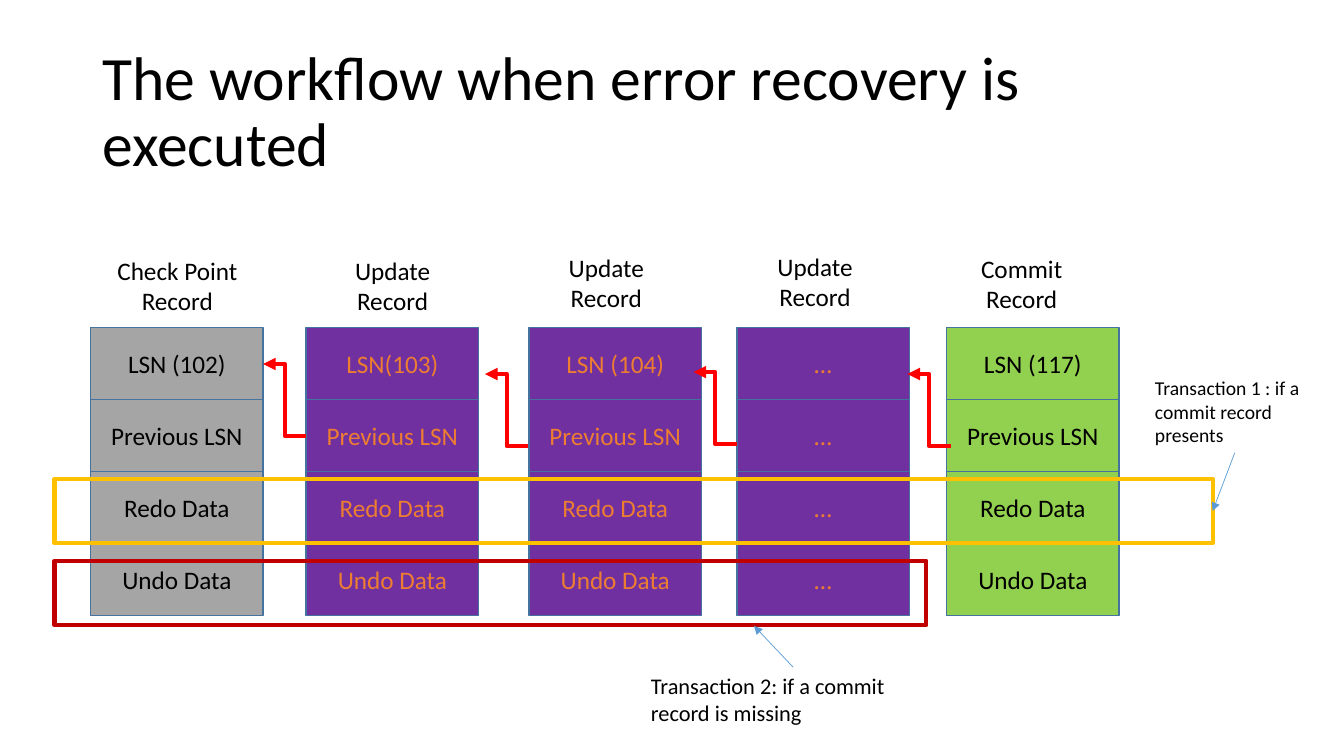
"""Build the slide about the log records used in error recovery."""
from dataclasses import dataclass

from lxml.etree import SubElement
from pptx import Presentation
from pptx.dml.color import RGBColor as Color
from pptx.enum.shapes import MSO_CONNECTOR as Connector, MSO_SHAPE as Preset
from pptx.enum.text import MSO_ANCHOR as Anchor, PP_ALIGN as Align
from pptx.oxml.ns import qn
from pptx.slide import Slide
from pptx.text.text import TextFrame
from pptx.util import Pt


@dataclass(frozen=True)
class Theme:
    """Font, type sizes, colours and line widths of the slide."""
    font: str = "Calibri"
    title_size: float = 44
    body_size: float = 18
    undo_note_size: float = 16
    redo_note_size: float = 14
    black: str = "000000"
    orange: str = "ED7D31"
    gray: str = "A5A5A5"
    purple: str = "7030A0"
    green: str = "92D050"
    outline: str = "43739E"
    red: str = "FF0000"
    dark_red: str = "C00000"
    gold: str = "FFC000"
    blue: str = "5B9BD5"
    thin: float = 0.5
    medium: float = 1
    thick: float = 3


@dataclass(frozen=True)
class Box:
    """A rectangle in points."""
    left: float
    top: float
    width: float
    height: float


@dataclass(frozen=True)
class Record:
    """A log record: heading, its box, and a column of cells."""
    heading: str
    heading_box: Box
    left: float
    fill: str
    ink: str
    cells: tuple[str, ...]


@dataclass(frozen=True)
class Note:
    """A text with its box and type size."""
    text: str
    box: Box
    size: float


@dataclass(frozen=True)
class Frame:
    """An outlined area around log data."""
    box: Box
    color: str


@dataclass(frozen=True)
class Arrow:
    """A connector from a start point to its arrowhead."""
    start: tuple[float, float]
    tip: tuple[float, float]
    kind: Connector
    color: str
    width: float


THEME = Theme()
CELL_WIDTH, CELL_HEIGHT, CELL_TOP = 123.1, 51.4, 234
ELBOW_WIDTH = 30.9
FIELDS = ("Previous LSN", "Redo Data", "Undo Data")

TITLE = Note("The workflow when error recovery is executed",
             Box(66, 28.8, 828, 104.4), THEME.title_size)
RECORDS = (
    Record("Check Point Record", Box(72.7, 178.6, 108, 50.9), 64.8,
           THEME.gray, THEME.black, ("LSN (102)", *FIELDS)),
    Record("Update Record", Box(229.7, 178.6, 101.5, 50.9), 218.7,
           THEME.purple, THEME.orange, ("LSN(103)", *FIELDS)),
    Record("Update Record", Box(382.3, 176.4, 101.5, 50.9), 377.9,
           THEME.purple, THEME.orange, ("LSN (104)", *FIELDS)),
    Record("Update Record", Box(531.4, 176.1, 101.5, 50.9), 526.4,
           THEME.purple, THEME.orange, ("…",) * 4),
    Record("Commit Record", Box(679, 177.1, 101.5, 50.9), 676.2,
           THEME.green, THEME.black, ("LSN (117)", *FIELDS)),
)
ELBOW_TIPS = ((188, 260), (346.5, 267.2), (495.5, 265.8), (648.2, 267.2))
FRAMES = (
    Frame(Box(38.9, 400.5, 622.8, 46.1), THEME.dark_red),
    Frame(Box(38.9, 342, 827.3, 46.1), THEME.gold),
)
NOTES = (
    Note("Transaction 1 : if a commit record presents",
         Box(817.9, 265, 128.9, 58.3), THEME.redo_note_size),
    Note("Transaction 2: if a commit record is missing",
         Box(457.9, 476.6, 218.9, 46.1), THEME.undo_note_size),
)
ARROWS = (
    *(Arrow((x + ELBOW_WIDTH, y + CELL_HEIGHT), (x, y), Connector.ELBOW,
            THEME.red, THEME.thick) for x, y in ELBOW_TIPS),
    Arrow((882, 323.3), (866.2, 365), Connector.STRAIGHT,
          THEME.blue, THEME.thin),
    Arrow((566.6, 476.6), (538.6, 447.1), Connector.STRAIGHT,
          THEME.blue, THEME.thin),
)


def lengths(box: Box) -> tuple[Pt, Pt, Pt, Pt]:
    """Return the four lengths of a box."""
    return Pt(box.left), Pt(box.top), Pt(box.width), Pt(box.height)


def write(frame: TextFrame, text: str, size: float, color: str,
          align: Align = Align.LEFT, anchor: Anchor = Anchor.TOP,
          spacing: float = 1.0) -> None:
    """Write one paragraph into a text frame."""
    frame.word_wrap = True
    frame.vertical_anchor = anchor
    paragraph = frame.paragraphs[0]
    paragraph.alignment = align
    paragraph.line_spacing = spacing
    run = paragraph.add_run()
    run.text = text
    run.font.name = THEME.font
    run.font.size = Pt(size)
    run.font.color.rgb = Color.from_string(color)


def add_rectangle(slide: Slide, box: Box, outline: str, width: float,
                  fill: str | None = None) -> TextFrame:
    """Draw a rectangle, hollow unless filled, and return its text frame."""
    shape = slide.shapes.add_shape(Preset.RECTANGLE, *lengths(box))
    shape.shadow.inherit = False
    if fill is None:
        shape.fill.background()
    else:
        shape.fill.solid()
        shape.fill.fore_color.rgb = Color.from_string(fill)
    shape.line.color.rgb = Color.from_string(outline)
    shape.line.width = Pt(width)
    return shape.text_frame


def add_record(slide: Slide, record: Record) -> None:
    """Draw a record's heading and its cells."""
    heading = slide.shapes.add_textbox(*lengths(record.heading_box))
    write(heading.text_frame, record.heading, THEME.body_size, THEME.black,
          Align.CENTER)
    for row, text in enumerate(record.cells):
        box = Box(record.left, CELL_TOP + row * CELL_HEIGHT,
                  CELL_WIDTH, CELL_HEIGHT)
        frame = add_rectangle(slide, box, THEME.outline, THEME.medium,
                              record.fill)
        write(frame, text, THEME.body_size, record.ink, Align.CENTER,
              Anchor.MIDDLE)


def add_arrow(slide: Slide, arrow: Arrow) -> None:
    """Draw a connector with a triangular head at its tip."""
    connector = slide.shapes.add_connector(
        arrow.kind, *map(Pt, arrow.start), *map(Pt, arrow.tip))
    connector.line.color.rgb = Color.from_string(arrow.color)
    connector.line.width = Pt(arrow.width)
    properties = connector.element.spPr
    SubElement(properties.get_or_add_ln(), qn("a:tailEnd"), type="triangle")
    SubElement(properties, qn("a:effectLst"))


def main() -> None:
    """Build and save the presentation."""
    presentation = Presentation()
    presentation.slide_width, presentation.slide_height = Pt(960), Pt(540)
    slide = presentation.slides.add_slide(presentation.slide_layouts[6])
    title = slide.shapes.add_textbox(*lengths(TITLE.box))
    write(title.text_frame, TITLE.text, TITLE.size, THEME.black,
          anchor=Anchor.MIDDLE, spacing=0.9)
    for record in RECORDS:
        add_record(slide, record)
    for frame in FRAMES:
        add_rectangle(slide, frame.box, frame.color, THEME.thick)
    for note in NOTES:
        textbox = slide.shapes.add_textbox(*lengths(note.box))
        write(textbox.text_frame, note.text, note.size, THEME.black)
    for arrow in ARROWS:
        add_arrow(slide, arrow)
    presentation.save("out.pptx")


if __name__ == "__main__":
    main()
